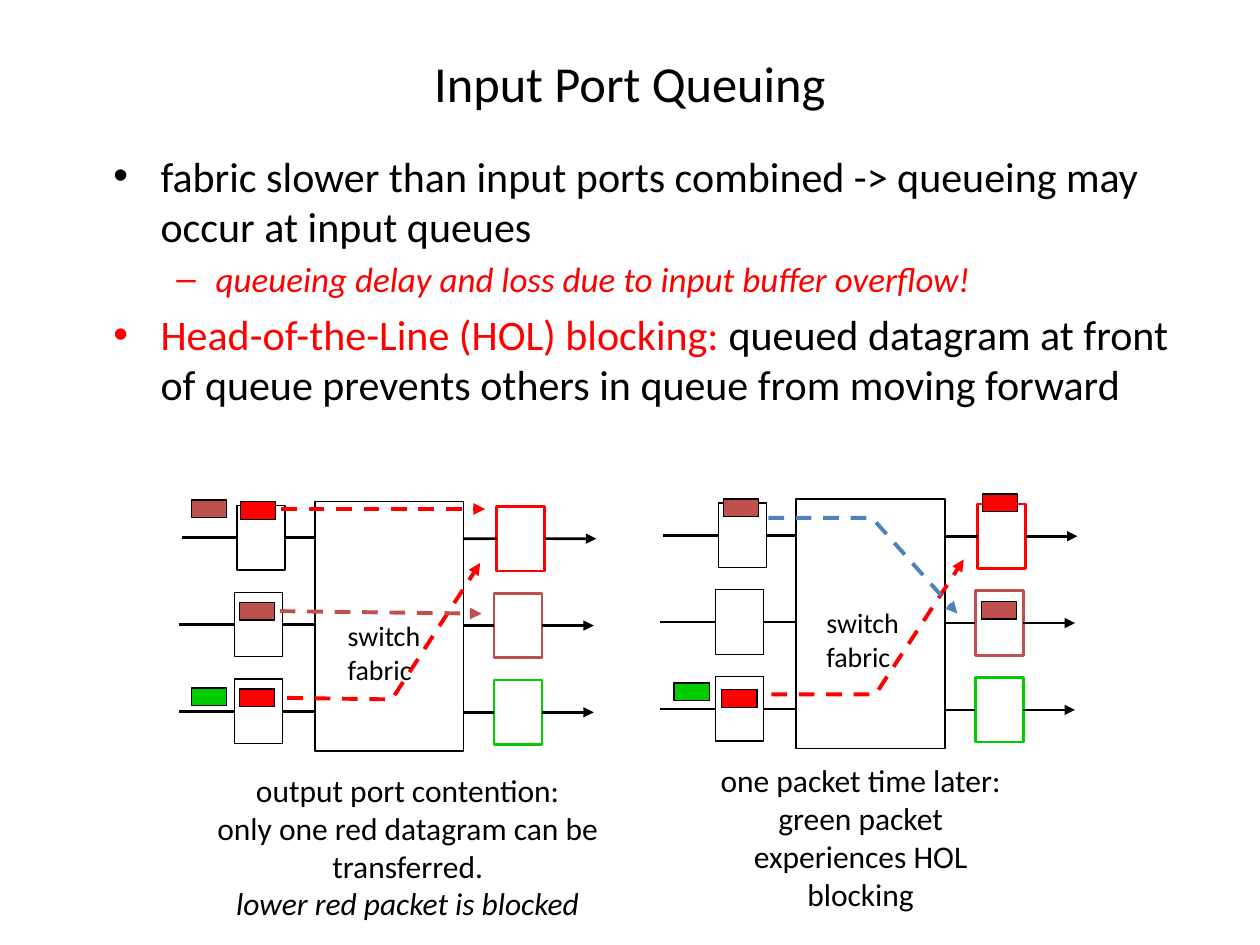
from lxml.etree import SubElement
from pptx import Presentation
from pptx.dml.color import RGBColor
from pptx.enum.dml import MSO_LINE
from pptx.enum.shapes import MSO_CONNECTOR, MSO_SHAPE
from pptx.enum.text import MSO_ANCHOR, MSO_AUTO_SIZE, PP_ALIGN
from pptx.oxml.ns import qn
from pptx.util import Cm, Pt

HUES = {"black": "000000", "white": "FFFFFF", "red": "FF0000",
        "brown": "C0504D", "green": "00CC00", "blue": "4F81BD"}
FIXED = {"word_wrap": True, "auto_size": MSO_AUTO_SIZE.NONE}
GROW = {"word_wrap": True, "auto_size": MSO_AUTO_SIZE.SHAPE_TO_FIT_TEXT}
LOOSE = {**GROW, "word_wrap": False}
PITCH = 1.75
PORT = (0.97, 1.3)
PACKET = (0.71, 0.36)


def hue(name):
    """Return the colour of the given name."""
    return RGBColor.from_string(HUES[name])


def style(item, form):
    """Set each attribute of item from the dict."""
    for key, value in form.items():
        setattr(item, key, value)


def place(shape, box):
    """Set the position and size of a shape in centimetres."""
    style(shape, dict(zip(("left", "top", "width", "height"), map(Cm, box))))


def write(frame, paras, size, align=None):
    """Fill a text frame from (level, runs), each run being (text, colour, italic)."""
    for n, (level, runs) in enumerate(paras):
        para = frame.paragraphs[0] if n == 0 else frame.add_paragraph()
        style(para, {"level": level, "alignment": align})
        for text, color, slant in runs:
            run = para.add_run()
            run.text = text
            style(run.font, {"name": "Calibri", "size": Pt(size - 4 * level),
                             "italic": slant})
            run.font.color.rgb = hue(color)


def note(slide, box, paras, size, form, align=None):
    """Add a text box."""
    frame = slide.shapes.add_textbox(*map(Cm, box)).text_frame
    style(frame, form)
    write(frame, paras, size, align)


def block(shapes, box, fill, edge="black", width=0.75):
    """Add a filled rectangle with an outline."""
    shape = shapes.add_shape(MSO_SHAPE.RECTANGLE, *map(Cm, box))
    shape.shadow.inherit = False
    shape.fill.solid()
    shape.fill.fore_color.rgb = hue(fill)
    shape.line.color.rgb = hue(edge)
    shape.line.width = Pt(width)
    return shape


def ink(item, color, width, dash=None, arrow=False):
    """Format the stroke of a connector or an open outline."""
    item.line.color.rgb = hue(color)
    style(item.line, {"width": Pt(width), "dash_style": dash})
    props = item.element.spPr
    if arrow:
        SubElement(props.find(qn("a:ln")), qn("a:tailEnd"), type="triangle")
    if props.find(qn("a:effectLst")) is None:
        SubElement(props, qn("a:effectLst"))


def wire(shapes, start, end, source=None, goal=None, arrow=False):
    """Add a black link, joined to the right of source and the left of goal."""
    link = shapes.add_connector(MSO_CONNECTOR.STRAIGHT, *map(Cm, start + end))
    if source is not None:
        link.begin_connect(source, 3)
    if goal is not None:
        link.end_connect(goal, 1)
    ink(link, "black", 1.5, arrow=arrow)


def route(slide, left, top, color, points):
    """Add a dashed arrow through the points."""
    spots = [(Cm(left + x), Cm(top + y)) for x, y in points]
    if len(spots) == 2:
        item = slide.shapes.add_connector(MSO_CONNECTOR.STRAIGHT,
                                          *spots[0], *spots[1])
    else:
        pen = slide.shapes.build_freeform(*spots[0])
        pen.add_line_segments(spots[1:], close=False)
        item = pen.convert_to_shape()
        item.fill.background()
        item.shadow.inherit = False
    ink(item, color, 2.25, MSO_LINE.DASH, True)


def ports(slide, left, top):
    """Draw the fabric with three input and three output ports."""
    shapes = slide.shapes.add_group_shape().shapes
    block(shapes, (left + 2.74, top, 3, 5.03), "white")
    for row, color in enumerate(("red", "brown", "green")):
        nudge = 0.05 if row == 0 else 0
        x, y = left + nudge, top + PITCH * row
        inlet = block(shapes, (x + 1.12, y + 0.08, *PORT), "white")
        outlet = block(shapes, (x + 6.35, y + 0.1, *PORT), "white", color, 1.5)
        mid = y + 0.73
        wire(shapes, (x, mid), (x + 1.12, mid), goal=inlet)
        wire(shapes, (x + 2.09, mid), (left + 2.74, mid), source=inlet)
        wire(shapes, (left + 5.72, y + 0.75), (x + 6.35, y + 0.75), goal=outlet)
        wire(shapes, (x + 7.32, y + 0.75), (x + 8.36, y + 0.75),
             source=outlet, arrow=True)


def switch(slide, left, top, packets, routes, label, caption, paras):
    """Draw one switch with its packets, routes, label and caption."""
    ports(slide, left, top)
    for color, x, y in packets:
        block(slide.shapes, (left + x, top + y, *PACKET), color)
    for color, points in routes:
        route(slide, left, top, color, points)
    x, y = label
    words = [(0, [(word, "black", None)]) for word in ("switch", "fabric")]
    note(slide, (left + x, top + y, 2.21, 1.63), words, 16, LOOSE)
    x, y, wide = caption
    note(slide, (left + x, top + y, wide, 3.3), paras, 18, GROW, PP_ALIGN.CENTER)


def header(slide, box):
    """Fill the title."""
    title = slide.shapes.title
    place(title, box)
    style(title.text_frame, {**FIXED, "vertical_anchor": MSO_ANCHOR.MIDDLE})
    write(title.text_frame, [(0, [("Input Port Queuing", "black", None)])],
          28.8, PP_ALIGN.CENTER)


def points(slide, box):
    """Fill the bullet list."""
    body = slide.placeholders[1]
    place(body, box)
    style(body.text_frame, FIXED)
    write(body.text_frame, [
        (0, [("fabric slower than input ports combined -> queueing may occur "
              "at input queues", "black", None)]),
        (1, [("queueing delay and loss due to input buffer overflow!",
              "red", True)]),
        (0, [("Head-of-the-Line (HOL) blocking:", "red", None),
             (" queued datagram at front of queue prevents others in queue "
              "from moving forward", "black", None)])], 24)


def main():
    """Build the slide and save it."""
    deck = Presentation()
    style(deck, {"slide_width": Cm(25.4), "slide_height": Cm(19.05)})
    slide = deck.slides.add_slide(deck.slide_layouts[1])
    header(slide, (1.9, 1.02, 21.6, 1.27))
    points(slide, (2.03, 2.9, 22.5, 7.37))
    switch(slide, 3.61, 10.11,
           [("red", 1.24, 0), ("brown", 1.22, 2.03), ("red", 1.22, 3.78),
            ("brown", 0.25, -0.03), ("green", 0.25, 3.76)],
           [("red", [(2.06, 0.15), (6.17, 0.15)]),
            ("red", [(2.18, 3.96), (4.29, 3.99), (6.07, 1.24)]),
            ("brown", [(2.03, 2.21), (6.1, 2.26)])],
           (3.15, 2.24), (-0.1, 5.31, 9.42),
           [(0, [("output port contention:", "black", None)]),
            (0, [("only one red datagram can be transferred.", "black", None)]),
            (0, [("lower red packet is blocked", "black", True)])])
    switch(slide, 13.31, 10.06,
           [("red", 6.5, -0.1), ("brown", 1.27, 0), ("red", 1.24, 3.84),
            ("green", 0.28, 3.71), ("brown", 6.48, 2.06)],
           [("red", [(2.24, 3.94), (4.34, 3.94), (6.12, 1.22)]),
            ("blue", [(2.18, 0.38), (4.27, 0.38), (5.99, 2.31)])],
           (3.1, 2.03), (0.94, 5.16, 6.2),
           [(0, [("one packet time later: green packet experiences HOL blocking",
                  "black", None)])])
    deck.save("out.pptx")


if __name__ == "__main__":
    main()
